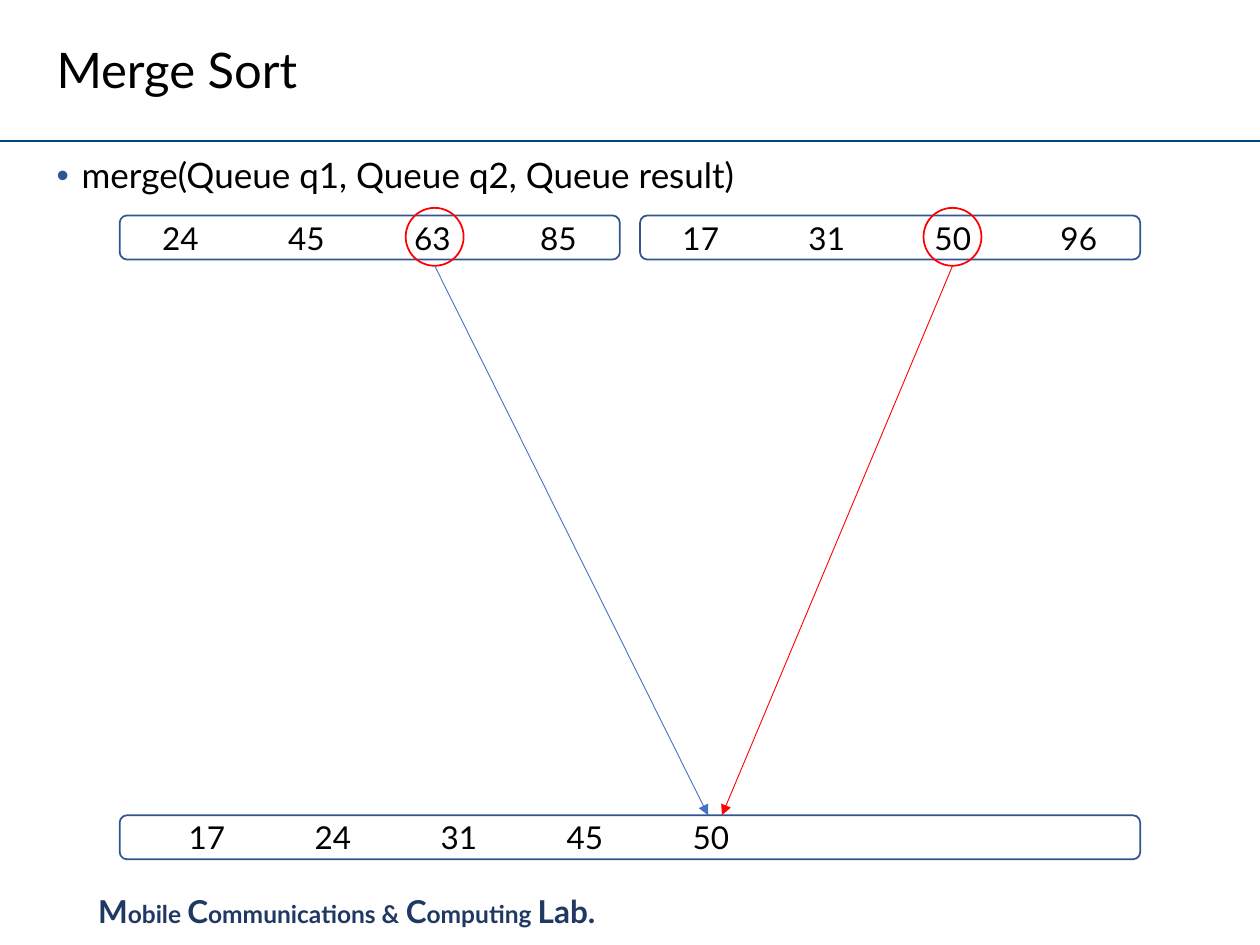
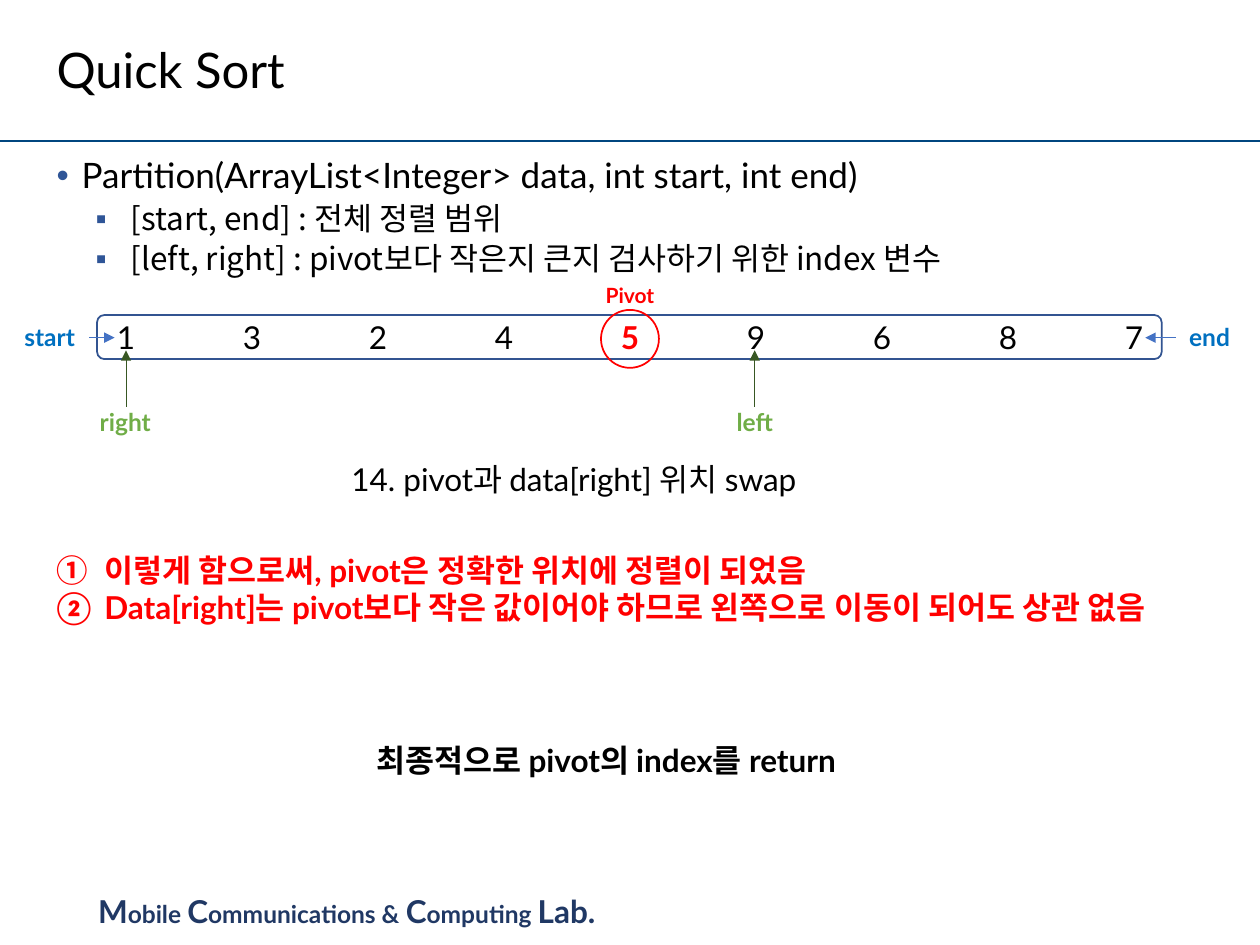
"""Builds two slides that explain merge sort and quick sort."""
import pptx
import pptx.util
import pptx.dml.color
import pptx.enum.shapes
import pptx.enum.text
import pptx.oxml
import pptx.oxml.ns

HUES = {
    "black": "000000",
    "red": "FF0000",
    "rule": "00467F",
    "lab": "203864",
    "dot": "2F5597",
    "edge": "325491",
    "blue": "4472C4",
    "sky": "0070C0",
    "leaf": "70AD47",
    "pine": "385723",
}
LATIN = "Lato"
HANGUL = "Noto Sans CJK KR"
COLS = 100
ROWS = 75
UNIT = pptx.util.Inches(0.1)
SHAPE = pptx.enum.shapes.MSO_SHAPE
ALIGN = pptx.enum.text.PP_ALIGN
MID = pptx.enum.text.MSO_ANCHOR.MIDDLE


def span(*cells):
    """Turns grid cells into lengths."""
    return [round(cell * UNIT) for cell in cells]


def tint(name):
    """Gives the named colour."""
    return pptx.dml.color.RGBColor.from_string(HUES[name])


def child(parent, tag, **marks):
    """Adds an XML element to the end of a parent."""
    node = pptx.oxml.ns.qn("a:" + tag)
    item = parent.makeelement(node, {key: str(val) for key, val in marks.items()})
    parent.append(item)
    return item


class Deck:
    """Holds the style and the current slide."""

    def __init__(self):
        """Opens an empty deck."""
        self.show = pptx.Presentation()
        self.show.slide_width, self.show.slide_height = span(COLS, ROWS)

    def page(self, title):
        """Starts a slide with its title, rule and footer."""
        self.slide = self.show.slides.add_slide(self.show.slide_layouts[6])
        self.line((0, 11.2), (COLS, 11.2), "rule", 1.5)
        head = self.text((3.5, 1.4, 93.1, 8.8), [title], 28)
        head.vertical_anchor = MID
        head.paragraphs[0].line_spacing = 0.9
        parts = ["M", "obile ", "C", "ommunications & ", "C", "omputing ", "Lab."]
        foot = self.text((6.8, 70.3, 45.3, 4), [parts], 18, "lab", True)
        for run in foot.paragraphs[0].runs[1::2]:
            run.font.size = pptx.util.Pt(14)

    def fill(self, par, parts, size, hue="black", bold=False, face=LATIN):
        """Fills a paragraph with one text or a list of runs."""
        if isinstance(parts, str):
            par.text = parts
        else:
            for part in parts:
                par.add_run().text = part
        for run in par.runs:
            run.font.size = pptx.util.Pt(size)
            run.font.name = face
            run.font.bold = bold
            run.font.color.rgb = tint(hue)
            child(run._r.get_or_add_rPr(), "ea", typeface=HANGUL)

    def text(self, box, lines, size, hue="black", bold=False, wrap=True):
        """Adds a text box with one paragraph for each line."""
        frame = self.slide.shapes.add_textbox(*span(*box)).text_frame
        frame.word_wrap = wrap
        for num, line in enumerate(lines):
            par = frame.add_paragraph() if num else frame.paragraphs[0]
            self.fill(par, line, size, hue, bold)
        return frame

    def label(self, box, word, hue, size=14):
        """Adds a short bold centred label."""
        frame = self.text(box, [word], size, hue, True, False)
        frame.paragraphs[0].alignment = ALIGN.CENTER

    def hang(self, par, left, back):
        """Sets a hanging indent and returns the paragraph's XML."""
        props = par._p.get_or_add_pPr()
        left, back = span(left, back)
        props.set("marL", str(left))
        props.set("indent", str(-back))
        return props

    def body(self, lead, subs=()):
        """Adds the bulleted body text."""
        frame = self.text((3.5, 12.1, 93.1, 54.4), [lead], 20)
        for sub in subs:
            par = frame.add_paragraph()
            par.level = 1
            par.space_before = pptx.util.Pt(3.8)
            self.fill(par, sub, 18, face=HANGUL)
        for par in frame.paragraphs:
            par.line_spacing = 0.9
            left, back, mark = (5.9, 2.8, "▪") if par.level else (2, 2, "•")
            props = self.hang(par, left, back)
            child(child(props, "buClr"), "srgbClr", val=HUES["dot"])
            child(props, "buFont", typeface="Arial")
            child(props, "buChar", char=mark)

    def steps(self, box, lines):
        """Adds a list with circled numbers."""
        frame = self.text(box, lines, 18, "red", True)
        for par in frame.paragraphs:
            props = self.hang(par, 3.8, 3.8)
            child(props, "buFont", typeface="+mj-lt")
            child(props, "buAutoNum", type="circleNumDbPlain")

    def form(self, kind, box, hue):
        """Adds an unfilled outline shape."""
        shape = self.slide.shapes.add_shape(kind, *span(*box))
        shape.shadow.inherit = False
        shape.fill.background()
        shape.line.color.rgb = tint(hue)
        shape.line.width = pptx.util.Pt(1)
        return shape

    def queue(self, left, top, width, inset, parts):
        """Adds a row of numbers set one inch apart."""
        shape = self.form(SHAPE.ROUNDED_RECTANGLE, (left, top, width, 3.5), "edge")
        frame = shape.text_frame
        frame.word_wrap = True
        frame.vertical_anchor = MID
        frame.margin_left, frame.margin_right = span(inset, 0)
        par = frame.paragraphs[0]
        par.alignment = ALIGN.LEFT
        stops = child(par._p.get_or_add_pPr(), "tabLst")
        for num in range(1, 9):
            child(stops, "tab", pos=span(10 * num)[0], algn="l")
        self.fill(par, parts, 18)
        return par

    def ring(self, left, top):
        """Circles a number."""
        self.form(SHAPE.OVAL, (left, top, 4.6, 4.6), "red")

    def line(self, start, end, hue, width=0.5):
        """Adds a straight line."""
        kind = pptx.enum.shapes.MSO_CONNECTOR.STRAIGHT
        link = self.slide.shapes.add_connector(kind, *span(*start, *end))
        link.line.color.rgb = tint(hue)
        link.line.width = pptx.util.Pt(width)
        child(link._element.spPr, "effectLst")
        return link

    def arrow(self, start, end, hue):
        """Adds a line with an arrowhead at its end."""
        link = self.line(start, end, hue)
        child(link._element.spPr.get_or_add_ln(), "tailEnd", type="triangle")


def merge(deck):
    """Draws the merge sort slide."""
    deck.page("Merge Sort")
    deck.body("merge(Queue q1, Queue q2, Queue result)")
    for left, nums in ((9.5, "24\t45\t63\t85"), (50.8, "17\t31\t50\t96")):
        deck.queue(left, 17.1, 39.7, 3.2, nums)
    for left, end, hue in ((73.3, 57.3, "red"), (32.2, 56.2, "blue")):
        deck.ring(left, 16.5)
        deck.arrow((left + 2.3, 21.1), (end, 64.7), hue)
    deck.queue(9.5, 64.7, 81, 5.3, "17\t24\t31\t45\t50")


def quick(deck):
    """Draws the quick sort slide."""
    deck.page("Quick Sort")
    deck.body("Partition(ArrayList<Integer> data, int start, int end)", [
        "[start, end] : 전체 정렬 범위",
        "[left, right] : pivot보다 작은지 큰지 검사하기 위한 index 변수",
    ])
    row = deck.queue(7.7, 25, 84.5, 1.4, ["1\t3\t2\t4\t", "5", "\t9\t6\t8\t7"])
    pivot = row.runs[1].font
    pivot.bold = True
    pivot.color.rgb = tint("red")
    deck.ring(47.7, 24.6)
    deck.label((47, 21.9, 6, 3), "Pivot", "red", 12)
    for word, left, width, start, end in (
        ("start", 0.8, 6.3, 7.1, 9.1),
        ("end", 93.3, 5.4, 93.3, 90.9),
    ):
        deck.arrow((start, 26.8), (end, 26.8), "blue")
        deck.label((left, 25.1, width, 3.4), word, "sky")
    for word, left, width, mid in (("right", 6.8, 6.3, 10), ("left", 57.3, 5.2, 59.9)):
        deck.arrow((mid, 32.3), (mid, 27.8), "pine")
        deck.label((left, 31.8, width, 3.4), word, "leaf")
    deck.text((26.9, 36, 38.5, 4), ["14. pivot과 data[right] 위치 swap"], 18)
    deck.steps((3.5, 43.2, 96.4, 7.1), [
        "이렇게 함으로써, pivot은 정확한 위치에 정렬이 되었음",
        "Data[right]는 pivot보다 작은 값이어야 하므로 왼쪽으로 이동이 되어도 상관 없음",
    ])
    deck.text((28.9, 58.3, 43, 4), ["최종적으로 pivot의 index를 return"], 18, bold=True)


def main():
    """Builds and saves the deck."""
    deck = Deck()
    merge(deck)
    quick(deck)
    deck.show.save("out.pptx")


if __name__ == "__main__":
    main()
